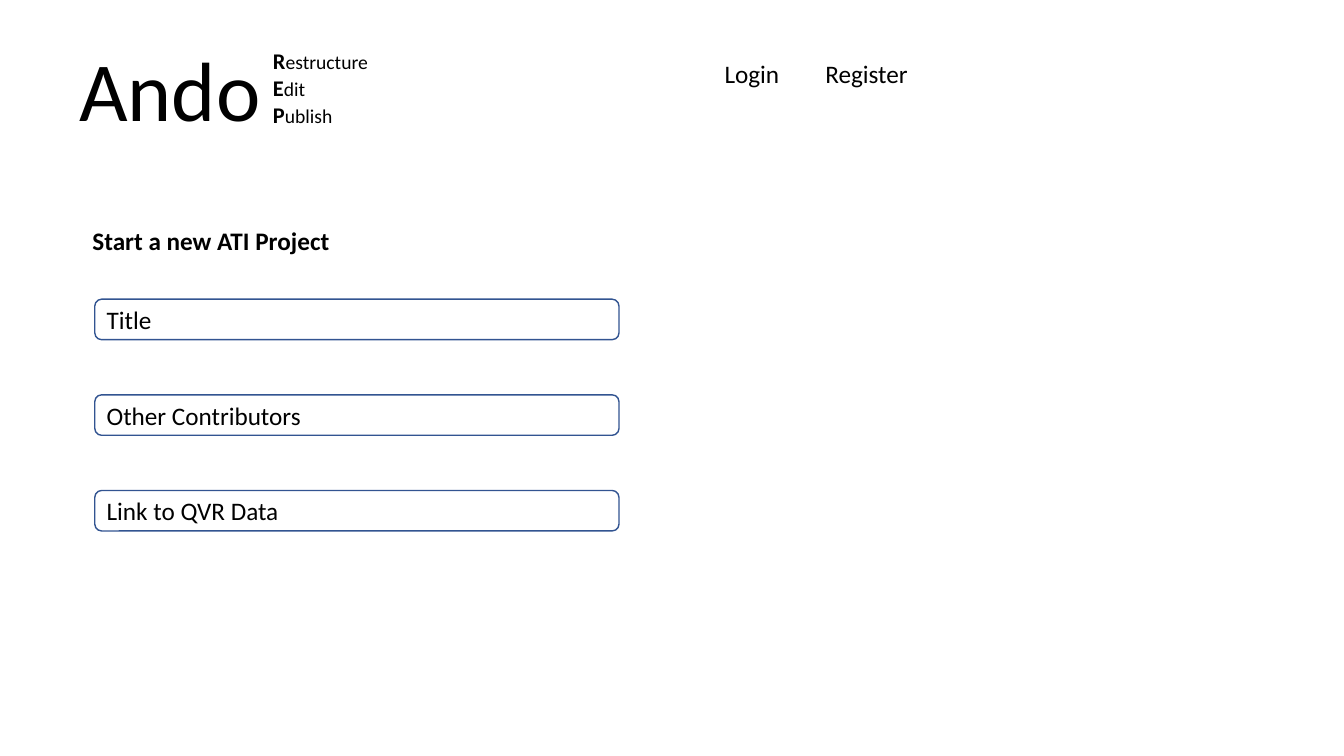
from pptx import Presentation
from pptx.dml.color import RGBColor
from pptx.enum.shapes import MSO_SHAPE
from pptx.enum.text import MSO_ANCHOR, PP_ALIGN
from pptx.util import Cm, Pt

ROUNDED = MSO_SHAPE.ROUNDED_RECTANGLE
TOP, MIDDLE = MSO_ANCHOR.TOP, MSO_ANCHOR.MIDDLE
LEFT = PP_ALIGN.LEFT

COLORS = {"text": "000000", "field": "FFFFFF", "border": "325491"}


class Page:
    """Holds the text style and the current slide."""

    def __init__(self, slide, font="Calibri", size=18):
        self.s = slide
        self.font = font
        self.size = size

    def color(self, name):
        return RGBColor.from_string(COLORS[name])

    def add_lines(self, sp, lines, anchor):
        """Each line is a list of (text, size, bold) runs."""
        tf = sp.text_frame
        tf.word_wrap = True
        tf.vertical_anchor = anchor
        for i, runs in enumerate(lines):
            p = tf.add_paragraph() if i else tf.paragraphs[0]
            p.alignment = LEFT
            for text, size, bold in runs:
                r = p.add_run()
                r.text = text
                r.font.name = self.font
                r.font.size = Pt(size)
                r.font.bold = bold
                r.font.color.rgb = self.color("text")

    def text(self, x, y, w, h, lines, anchor=TOP):
        sp = self.s.shapes.add_textbox(Cm(x), Cm(y), Cm(w), Cm(h))
        self.add_lines(sp, lines, anchor)

    def field(self, x, y, w, h, label):
        sp = self.s.shapes.add_shape(ROUNDED, Cm(x), Cm(y), Cm(w), Cm(h))
        sp.shadow.inherit = False
        sp.fill.solid()
        sp.fill.fore_color.rgb = self.color("field")
        sp.line.color.rgb = self.color("border")
        sp.line.width = Pt(1)
        self.add_lines(sp, [[(label, self.size, False)]], MIDDLE)


def main():
    prs = Presentation()
    prs.slide_width, prs.slide_height = Cm(33.87), Cm(19.05)
    page = Page(prs.slides.add_slide(prs.slide_layouts[6]))

    # Header: product name, tagline and account menu
    page.text(1.75, 0.81, 9.55, 2.82, [[("Ando", 60, False)]], MIDDLE)
    tagline = ["Restructure", "Edit", "Publish"]
    page.text(6.63, 1.07, 10.31, 2.31,
              [[(word[0], 16, True), (word[1:], 14, False)] for word in tagline])
    page.text(18.01, 1.35, 14.43, 1.02, [[("Login\tRegister", page.size, False)]])

    # Project form
    page.text(2.08, 5.56, 17.32, 1.02,
              [[("Start a new ATI Project", page.size, True)]])
    for i, label in enumerate(["Title", "Other Contributors", "Link to QVR Data"]):
        page.field(2.39, 7.54 + i * 2.41, 13.21, 1.02, label)

    prs.save("out.pptx")


if __name__ == "__main__":
    main()
